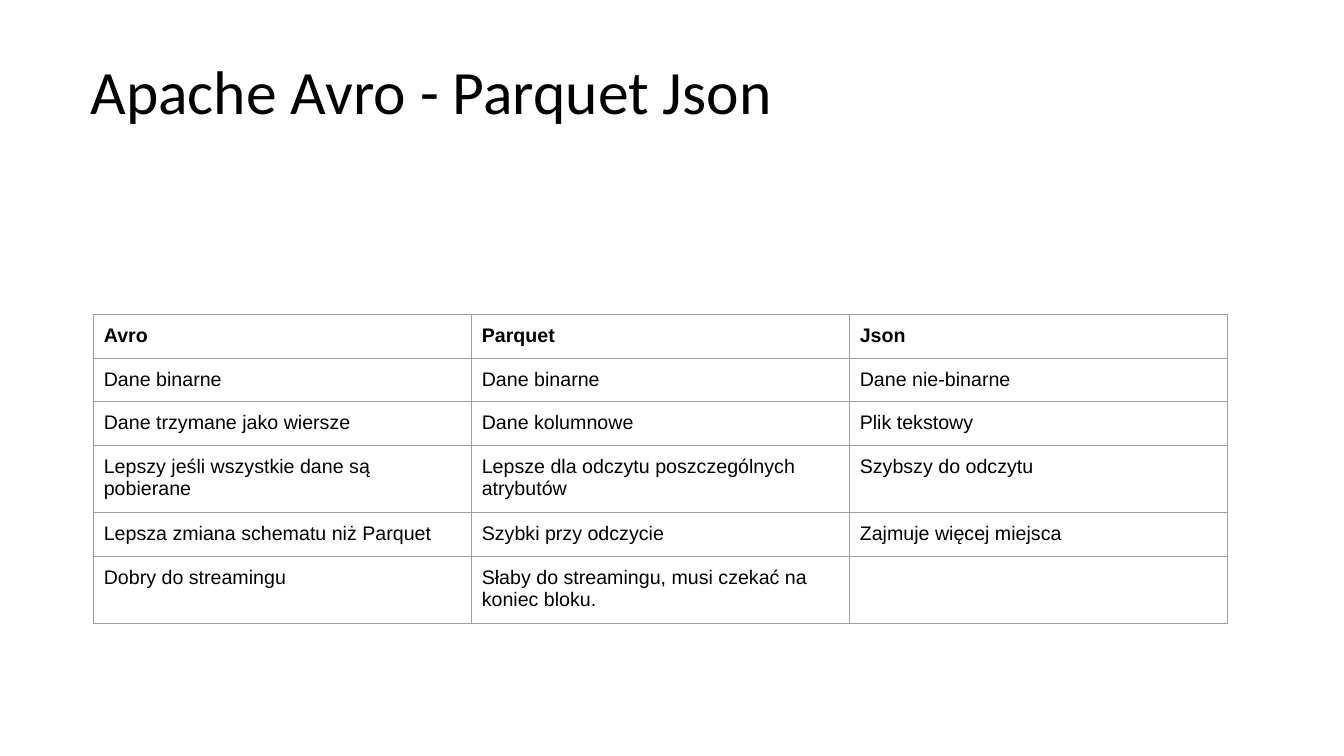
from lxml import etree
from pptx import Presentation
from pptx.dml.color import RGBColor
from pptx.enum.text import MSO_ANCHOR
from pptx.oxml.ns import qn
from pptx.util import Pt

MIDDLE = MSO_ANCHOR.MIDDLE

TITLE = "Apache Avro - Parquet Json"
ROWS = [
    ("Avro", "Parquet", "Json"),
    ("Dane binarne", "Dane binarne", "Dane nie-binarne"),
    ("Dane trzymane jako wiersze", "Dane kolumnowe", "Plik tekstowy"),
    ("Lepszy jeśli wszystkie dane są pobierane",
     "Lepsze dla odczytu poszczególnych atrybutów", "Szybszy do odczytu"),
    ("Lepsza zmiana schematu niż Parquet", "Szybki przy odczycie",
     "Zajmuje więcej miejsca"),
    ("Dobry do streamingu",
     "Słaby do streamingu, musi czekać na koniec bloku.", ""),
]

THEME = {
    "ink": RGBColor(0, 0, 0),
    "rule": "9E9E9E",
    "rule_width": Pt(0.75),
    "title": ("Calibri", Pt(44)),
    "body": ("Arial", Pt(14)),
}
TITLE_BOX = (57.6, 15.1, 828, 104.4)
LEFT, TOP = 66.95, 224.6
COL_WIDTH, ROW_HEIGHT = 270, 30.24
PAD = Pt(7.2)


def style(para, role, bold=False):
    font = para.font
    font.name, font.size = THEME[role]
    font.color.rgb = THEME["ink"]
    font.bold = bold


def border(cell):
    props = cell._tc.get_or_add_tcPr()
    for place, side in enumerate(("lnL", "lnR", "lnT", "lnB")):
        line = etree.Element(qn("a:" + side), w=str(THEME["rule_width"]))
        fill = etree.SubElement(line, qn("a:solidFill"))
        etree.SubElement(fill, qn("a:srgbClr"), val=THEME["rule"])
        props.insert(place, line)


def add_title(slide):
    box = slide.shapes.add_textbox(*map(Pt, TITLE_BOX))
    frame = box.text_frame
    frame.word_wrap = True
    frame.vertical_anchor = MIDDLE
    para = frame.paragraphs[0]
    para.text = TITLE
    para.line_spacing = 0.9
    style(para, "title")


def add_grid(slide):
    count, width = len(ROWS), len(ROWS[0])
    table = slide.shapes.add_table(
        count, width, Pt(LEFT), Pt(TOP),
        Pt(width * COL_WIDTH), Pt(count * ROW_HEIGHT)).table
    table.first_row = True
    table.horz_banding = False
    for col in table.columns:
        col.width = Pt(COL_WIDTH)
    for r, texts in enumerate(ROWS):
        table.rows[r].height = Pt(ROW_HEIGHT)
        for c, text in enumerate(texts):
            cell = table.cell(r, c)
            cell.margin_left = cell.margin_right = PAD
            cell.margin_top = cell.margin_bottom = PAD
            cell.fill.background()
            border(cell)
            para = cell.text_frame.paragraphs[0]
            para.text = text
            style(para, "body", bold=r == 0)


def main():
    deck = Presentation()
    deck.slide_width, deck.slide_height = Pt(960), Pt(540)
    slide = deck.slides.add_slide(deck.slide_layouts[6])
    add_title(slide)
    add_grid(slide)
    deck.save("out.pptx")


if __name__ == "__main__":
    main()
